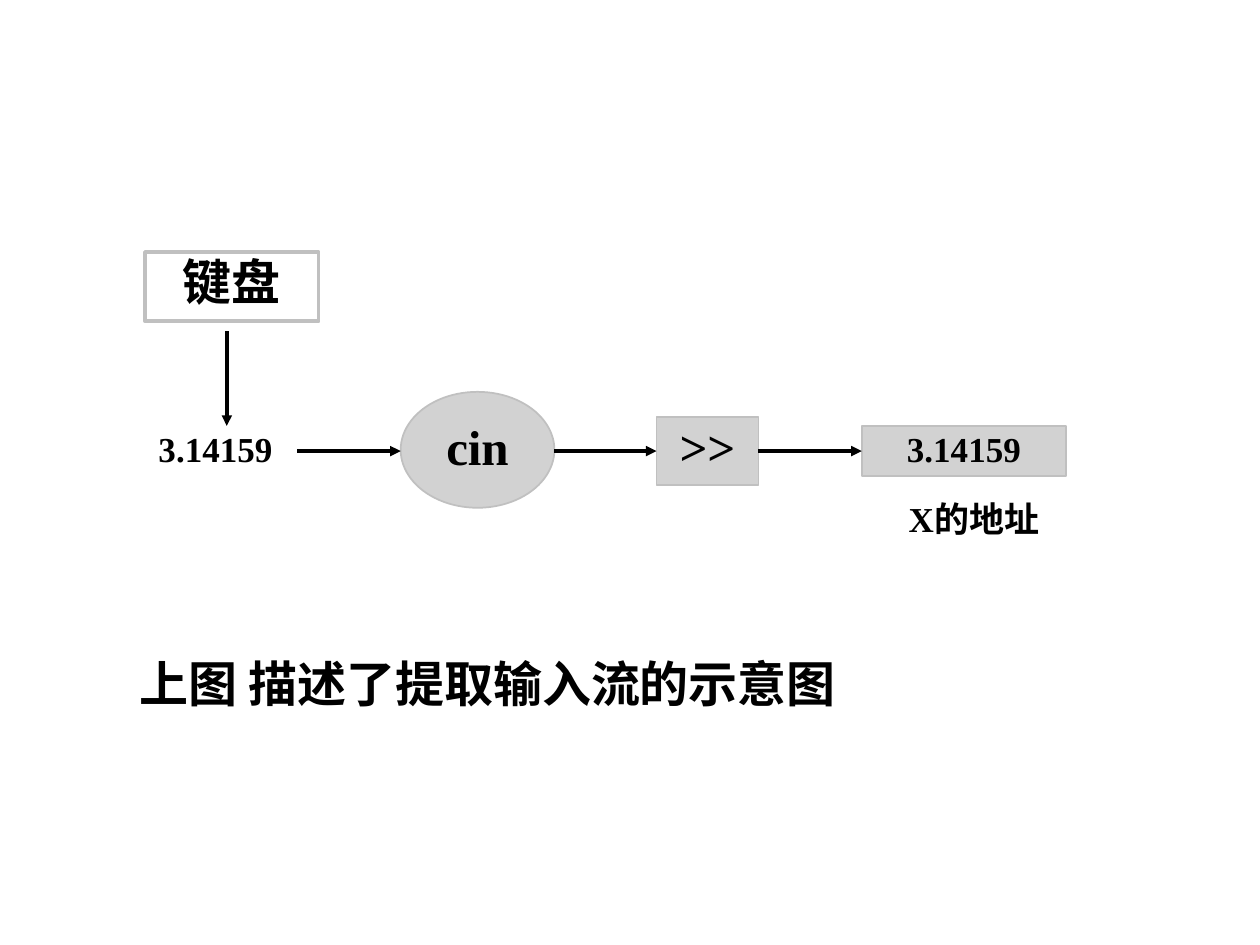
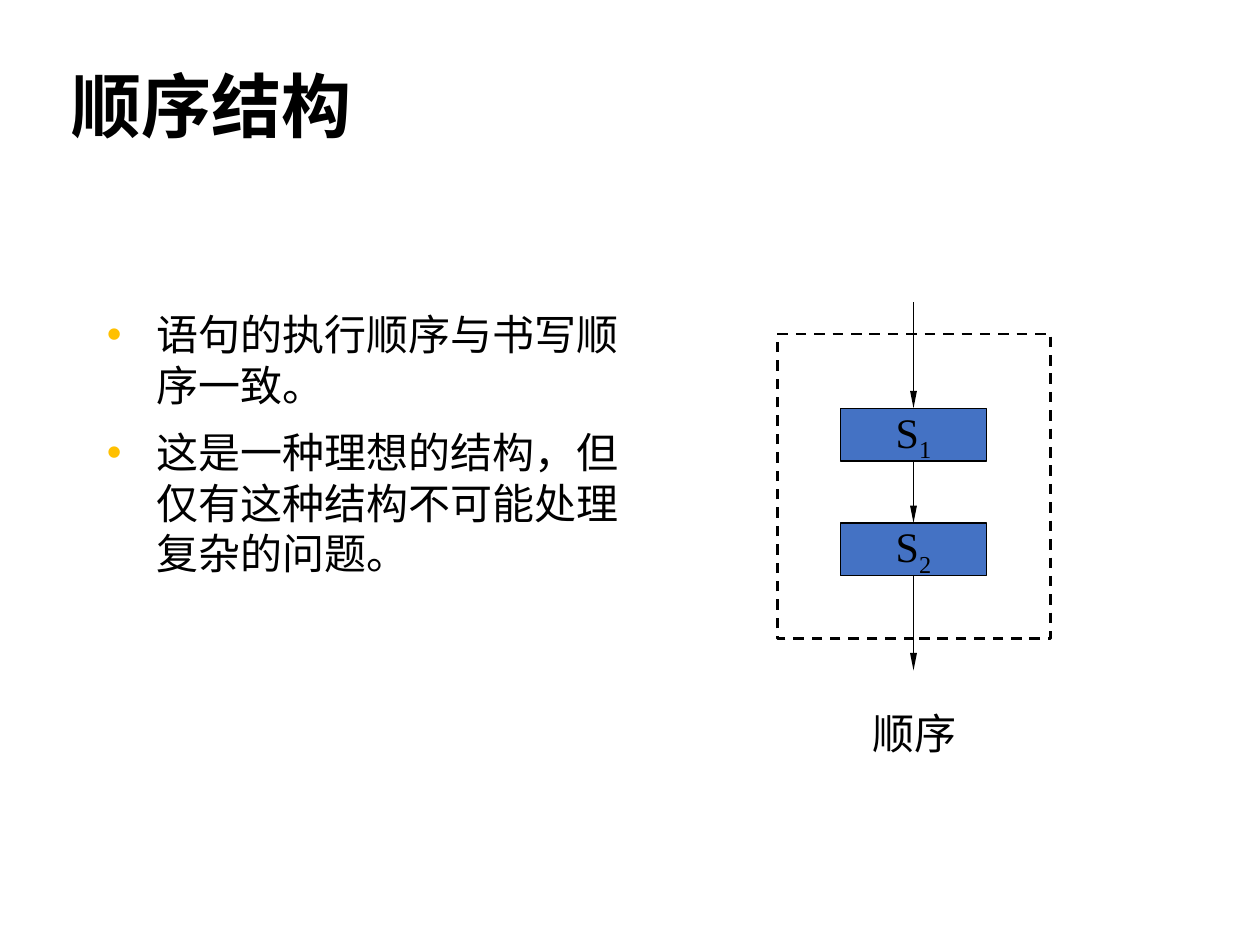
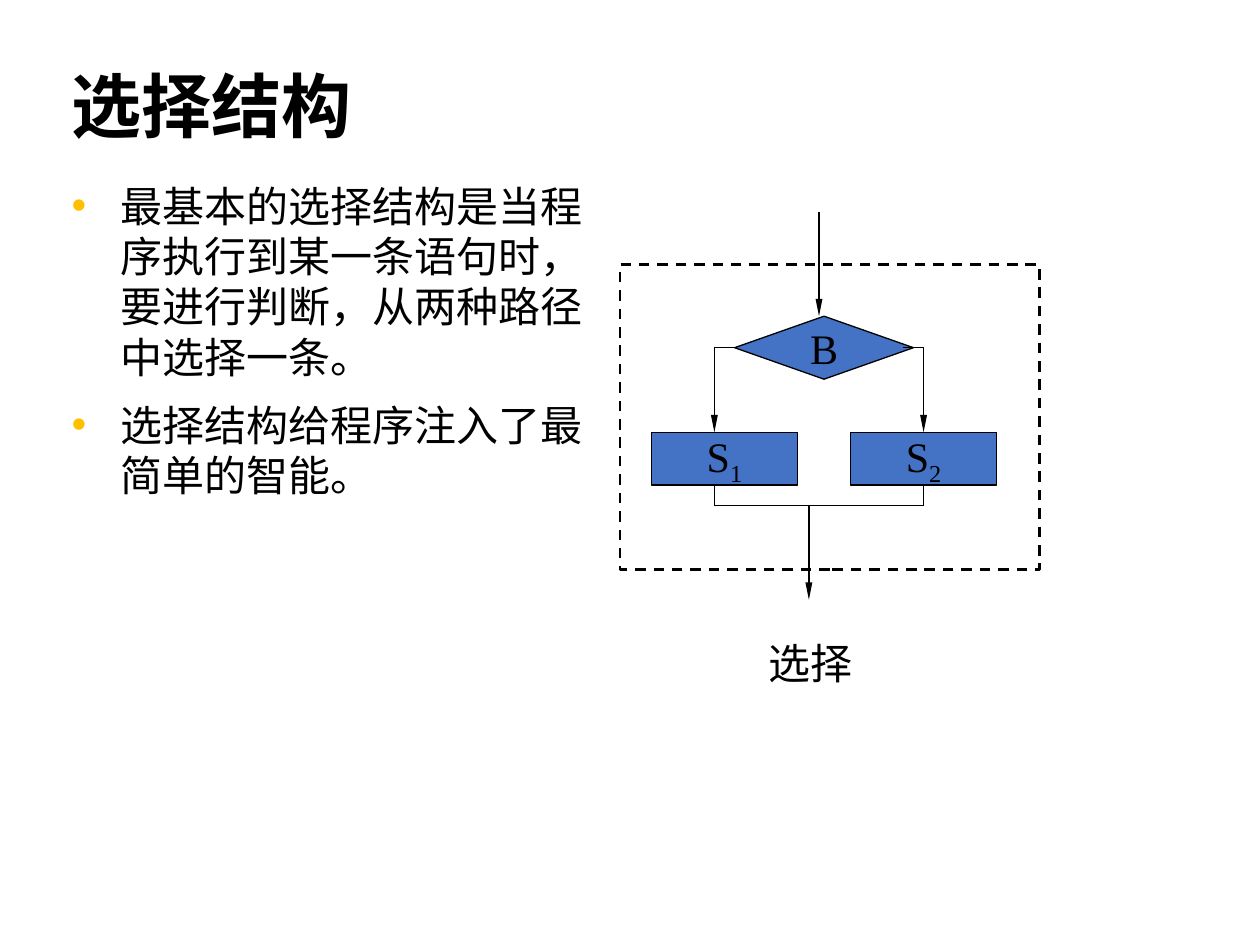
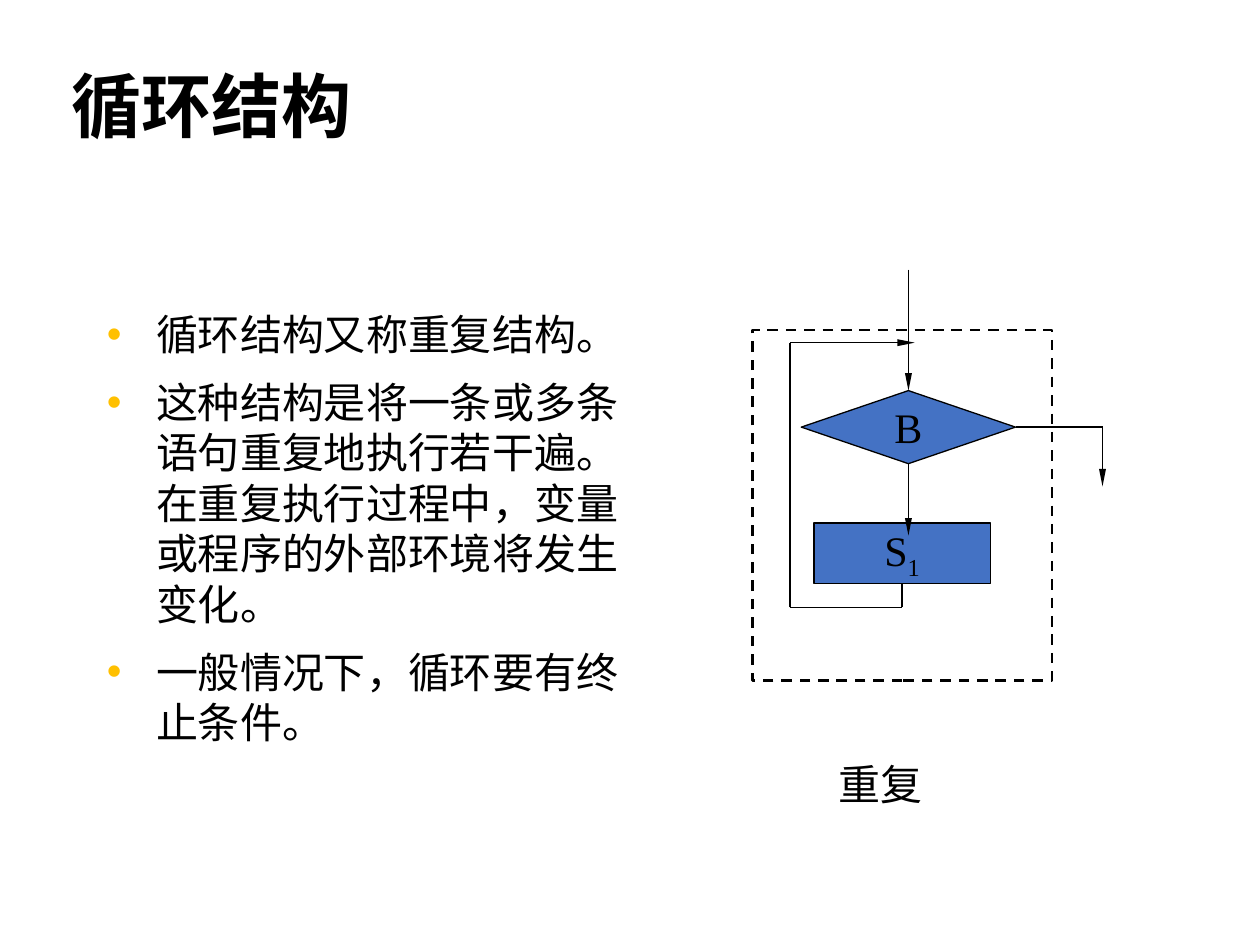
"""Build four slides on input streams and the basic control structures."""
from dataclasses import dataclass
from typing import Optional

from lxml.etree import SubElement
from pptx import Presentation
from pptx.dml.color import RGBColor
from pptx.enum.dml import MSO_LINE
from pptx.enum.shapes import MSO_CONNECTOR, MSO_SHAPE
from pptx.enum.text import MSO_ANCHOR, PP_ALIGN
from pptx.oxml.ns import qn
from pptx.util import Inches, Pt

Point = tuple[float, float]
Box = tuple[float, float, float, float]


@dataclass(frozen=True)
class Theme:
    ink: RGBColor = RGBColor(0x00, 0x00, 0x00)
    block: RGBColor = RGBColor(0x44, 0x72, 0xC4)
    grey: RGBColor = RGBColor(0xC0, 0xC0, 0xC0)
    bullet: str = "FFC000"
    title_font: str = "Calibri"
    body_font: str = "Noto Sans CJK SC"
    diagram_font: str = "Times New Roman"
    title_size: float = 40
    large_size: float = 28
    body_size: float = 24
    small_size: float = 20
    body_leading: float = 28.8
    thin: float = 0.75
    frame: float = 1.5
    thick: float = 2


THEME = Theme()


@dataclass(frozen=True)
class Label:
    box: Box
    text: str
    size: float = THEME.body_size
    font: str = THEME.diagram_font
    bold: bool = False
    align: PP_ALIGN = PP_ALIGN.LEFT
    anchor: MSO_ANCHOR = MSO_ANCHOR.TOP
    leading: float = 1.0
    margin: float = 0


@dataclass(frozen=True)
class Node:
    box: Box
    text: str = ""
    subscript: str = ""
    kind: MSO_SHAPE = MSO_SHAPE.RECTANGLE
    fill: Optional[RGBColor] = THEME.block
    opacity: int = 100
    line: RGBColor = THEME.ink
    weight: float = THEME.thin
    dashed: bool = False
    size: float = THEME.body_size
    bold: bool = False
    anchor: MSO_ANCHOR = MSO_ANCHOR.MIDDLE
    leading: float = 1.0
    wrap: bool = False


@dataclass(frozen=True)
class Flow:
    start: Point
    end: Point
    arrow: bool = True
    weight: float = THEME.thin


@dataclass(frozen=True)
class Structure:
    title: str
    body_box: Box
    points: tuple[str, ...]
    nodes: tuple[Node, ...]
    flows: tuple[Flow, ...]
    frame: Box
    caption: str
    caption_box: Box


def inches(box: Box) -> list[int]:
    """Convert a box given in inches to lengths."""
    return [Inches(value) for value in box]


def style_run(run, font: str, size: float, bold: bool = False) -> None:
    """Apply the type style to a run."""
    run.font.name = font
    run.font.size = Pt(size)
    run.font.bold = bold
    run.font.color.rgb = THEME.ink


def draw_label(slide, label: Label) -> None:
    """Draw one line of free text."""
    frame = slide.shapes.add_textbox(*inches(label.box)).text_frame
    frame.word_wrap = True
    frame.vertical_anchor = label.anchor
    paragraph = frame.paragraphs[0]
    paragraph.text = label.text
    paragraph.alignment = label.align
    paragraph.line_spacing = label.leading
    if label.margin:
        paragraph._p.get_or_add_pPr().set("marL", str(Inches(label.margin)))
    style_run(paragraph.runs[0], label.font, label.size, label.bold)


def draw_bullets(slide, box: Box, points: tuple[str, ...]) -> None:
    """Draw the bulleted body text."""
    frame = slide.shapes.add_textbox(*inches(box)).text_frame
    frame.word_wrap = True
    frame.text = "\n".join(points)
    for index, paragraph in enumerate(frame.paragraphs):
        properties = paragraph._p.get_or_add_pPr()
        properties.set("marL", str(Inches(0.39)))
        properties.set("indent", str(-Inches(0.39)))
        colour = SubElement(properties, qn("a:buClr"))
        SubElement(colour, qn("a:srgbClr"), val=THEME.bullet)
        SubElement(properties, qn("a:buFont"), typeface="Arial")
        SubElement(properties, qn("a:buChar"), char="•")
        paragraph.line_spacing = Pt(THEME.body_leading)
        paragraph.space_before = Pt(10 if index else 0)
        style_run(paragraph.runs[0], THEME.body_font, THEME.body_size)


def draw_node(slide, node: Node):
    """Draw a diagram shape with its text and return it."""
    shape = slide.shapes.add_shape(node.kind, *inches(node.box))
    shape.shadow.inherit = False
    if node.fill is None:
        shape.fill.background()
    else:
        shape.fill.solid()
        shape.fill.fore_color.rgb = node.fill
        if node.opacity < 100:
            colour = shape._element.spPr.find(f"{qn('a:solidFill')}/{qn('a:srgbClr')}")
            SubElement(colour, qn("a:alpha"), val=str(node.opacity * 1000))
    shape.line.color.rgb = node.line
    shape.line.width = Pt(node.weight)
    if node.dashed:
        shape.line.dash_style = MSO_LINE.DASH
    if node.text:
        frame = shape.text_frame
        frame.word_wrap = node.wrap
        frame.vertical_anchor = node.anchor
        paragraph = frame.paragraphs[0]
        paragraph.text = node.text
        paragraph.alignment = PP_ALIGN.CENTER
        paragraph.line_spacing = node.leading
        if node.subscript:
            index_run = paragraph.add_run()
            index_run.text = node.subscript
            index_run._r.get_or_add_rPr().set("baseline", "-25000")
        for run in paragraph.runs:
            style_run(run, THEME.diagram_font, node.size, node.bold)
    return shape


def side_at(node: Node, point: Point) -> Optional[int]:
    """Return the connection site of the node at the point, if any."""
    if node.kind == MSO_SHAPE.OVAL:
        return None
    left, top, width, height = node.box
    middle_x, middle_y = left + width / 2, top + height / 2
    sides = ((middle_x, top), (left, middle_y),
             (middle_x, top + height), (left + width, middle_y))
    for site, (x, y) in enumerate(sides):
        if abs(x - point[0]) < 0.01 and abs(y - point[1]) < 0.01:
            return site
    return None


def draw_flow(slide, flow: Flow, drawn: list) -> None:
    """Draw a flow line and join it to the nodes it touches."""
    connector = slide.shapes.add_connector(
        MSO_CONNECTOR.STRAIGHT, *inches((*flow.start, *flow.end)))
    connector.line.color.rgb = THEME.ink
    connector.line.width = Pt(flow.weight)
    for point, join in ((flow.start, connector.begin_connect),
                        (flow.end, connector.end_connect)):
        for node, shape in drawn:
            site = side_at(node, point)
            if site is not None:
                join(shape, site)
    if flow.arrow:
        width, length = ("sm", "lg") if flow.weight < THEME.thick else ("med", "med")
        SubElement(connector.line._get_or_add_ln(), qn("a:tailEnd"),
                   type="triangle", w=width, len=length)
    SubElement(connector._element.spPr, qn("a:effectLst"))


def draw_diagram(slide, nodes: tuple[Node, ...], flows: tuple[Flow, ...]) -> None:
    """Draw the nodes and then the flows between them."""
    drawn = [(node, draw_node(slide, node)) for node in nodes]
    for flow in flows:
        draw_flow(slide, flow, drawn)


def block(left: float, top: float, subscript: str,
          width: float = 1.16, height: float = 0.42) -> Node:
    """Describe a statement block S with its index."""
    return Node((left, top, width, height), "S", subscript)


def decision(box: Box) -> Node:
    """Describe the condition diamond B."""
    return Node(box, "B", kind=MSO_SHAPE.FLOWCHART_DECISION)


def route(*points: Point, arrow: bool = True) -> tuple[Flow, ...]:
    """Describe a bent line whose last leg may carry an arrowhead."""
    legs = list(zip(points, points[1:]))
    return tuple(Flow(start, end, arrow and index == len(legs) - 1)
                 for index, (start, end) in enumerate(legs))


def stream_node(box: Box, text: str, size: float = THEME.large_size, **changes) -> Node:
    """Describe a grey bold node of the input stream."""
    style = dict(fill=THEME.grey, opacity=70, line=THEME.grey, weight=1,
                 bold=True, anchor=MSO_ANCHOR.TOP, leading=0.9, wrap=True)
    return Node(box, text, size=size, **{**style, **changes})


def stream_label(box: Box, text: str) -> Label:
    """Describe a small bold label of the input stream."""
    return Label(box, text, THEME.small_size, bold=True,
                 align=PP_ALIGN.CENTER, leading=0.9)


def build_stream(slide) -> None:
    """Build the input stream slide."""
    draw_label(slide, Label((0.63, 5.04, 9.37, 1.18), "上图 描述了提取输入流的示意图",
                            THEME.large_size, bold=True, leading=1.2, margin=0.38))
    draw_label(slide, stream_label((6.92, 3.94, 1.62, 0.4), "X的地址"))
    draw_label(slide, stream_label((0.9, 3.38, 1.62, 0.4), "3.14159"))
    axis = 3.58
    nodes = (
        stream_node((3.18, 3.11, 1.22, 0.92), "cin", kind=MSO_SHAPE.OVAL,
                    anchor=MSO_ANCHOR.MIDDLE, wrap=False),
        stream_node((5.21, 3.31, 0.81, 0.54), ">>"),
        stream_node((6.84, 3.38, 1.62, 0.4), "3.14159", THEME.small_size),
        stream_node((1.15, 2, 1.38, 0.55), "键盘", fill=None, weight=THEME.thick),
    )
    spans = ((2.36, 3.18), (4.4, 5.21), (6.02, 6.84))
    flows = tuple(Flow((start, axis), (end, axis), weight=THEME.thick)
                  for start, end in spans)
    keyboard_flow = Flow((1.8, 2.63), (1.8, 3.38), weight=THEME.thick)
    draw_diagram(slide, nodes, (*flows, keyboard_flow))


def build_structure(slide, structure: Structure) -> None:
    """Build a slide on one control structure."""
    draw_label(slide, Label((0.47, 0.47, 9.06, 0.75), structure.title,
                            THEME.title_size, THEME.title_font, bold=True,
                            anchor=MSO_ANCHOR.BOTTOM, leading=0.9))
    draw_bullets(slide, structure.body_box, structure.points)
    draw_diagram(slide, structure.nodes, structure.flows)
    draw_node(slide, Node(structure.frame, fill=None,
                          weight=THEME.frame, dashed=True))
    draw_label(slide, Label(structure.caption_box, structure.caption))


SEQUENCE = Structure(
    title="顺序结构",
    body_box=(0.75, 2.4, 4.42, 4.35),
    points=("语句的执行顺序与书写顺序一致。",
            "这是一种理想的结构，但仅有这种结构不可能处理复杂的问题。"),
    nodes=(block(6.67, 3.24, "1"), block(6.67, 4.15, "2")),
    flows=tuple(Flow((7.25, start), (7.25, end))
                for start, end in ((2.4, 3.24), (3.66, 4.15), (4.57, 5.32))),
    frame=(6.17, 2.65, 2.17, 2.42),
    caption="顺序",
    caption_box=(6.83, 5.57, 0.92, 0.5),
)

SELECTION = Structure(
    title="选择结构",
    body_box=(0.47, 1.38, 4.47, 5.51),
    points=("最基本的选择结构是当程序执行到某一条语句时，要进行判断，从两种路径中选择一条。",
            "选择结构给程序注入了最简单的智能。"),
    nodes=(decision((5.83, 2.51, 1.42, 0.5)),
           block(5.17, 3.43, "1"), block(6.75, 3.43, "2")),
    flows=(*route((5.83, 2.76), (5.67, 2.76), (5.67, 3.43)),
           *route((7.17, 2.76), (7.33, 2.76), (7.33, 3.43)),
           *route((5.67, 3.85), (5.67, 4.01), (7.33, 4.01), (7.33, 3.85), arrow=False),
           Flow((6.42, 4.01), (6.42, 4.76)),
           Flow((6.5, 1.68), (6.5, 2.51))),
    frame=(4.92, 2.1, 3.33, 2.42),
    caption="选择",
    caption_box=(6, 5.01, 0.92, 0.5),
)

LOOP = Structure(
    title="循环结构",
    body_box=(0.75, 2.4, 4.33, 4.35),
    points=("循环结构又称重复结构。",
            "这种结构是将一条或多条语句重复地执行若干遍。在重复执行过程中，变量或程序的外部环境将发生变化。",
            "一般情况下，循环要有终止条件。"),
    nodes=(block(6.46, 4.15, "1", 1.4, 0.48), decision((6.36, 3.1, 1.7, 0.58))),
    flows=(Flow((7.21, 3.68), (7.21, 4.25)),
           *route((7.16, 4.63), (7.16, 4.82), (6.27, 4.82), (6.27, 2.72), (7.26, 2.72)),
           Flow((7.21, 2.14), (7.21, 3.1)),
           *route((8.06, 3.39), (8.75, 3.39), (8.75, 3.86))),
    frame=(5.97, 2.62, 2.38, 2.78),
    caption="重复",
    caption_box=(6.56, 5.97, 1.09, 0.57),
)


def main() -> None:
    """Build and save the presentation."""
    presentation = Presentation()
    presentation.slide_width = Inches(10)
    presentation.slide_height = Inches(7.5)
    blank = presentation.slide_layouts[6]
    build_stream(presentation.slides.add_slide(blank))
    for structure in (SEQUENCE, SELECTION, LOOP):
        build_structure(presentation.slides.add_slide(blank), structure)
    presentation.save("out.pptx")


if __name__ == "__main__":
    main()
